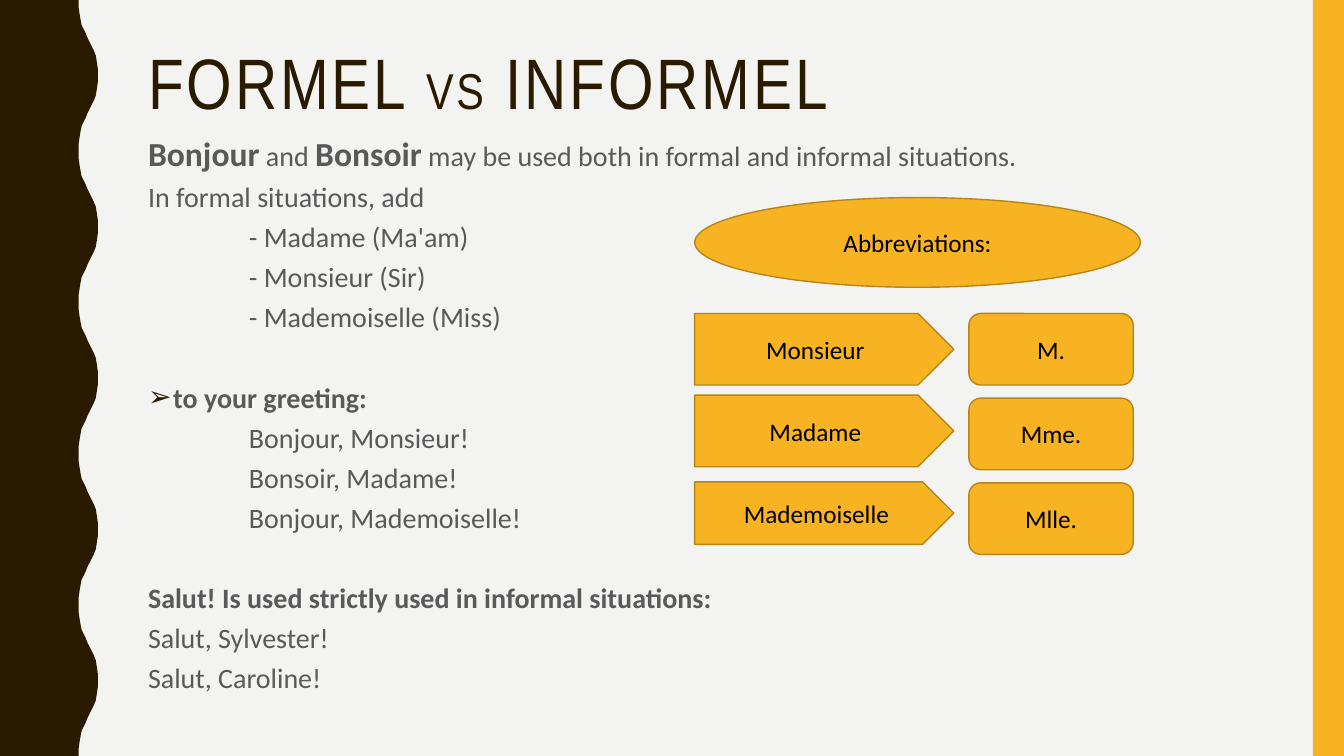
import pptx
import pptx.util
import pptx.dml.color
import pptx.enum.shapes
import pptx.enum.text
import pptx.oxml
import pptx.oxml.ns
from dataclasses import dataclass

PX = 9144
SHAPE = pptx.enum.shapes.MSO_SHAPE
ALIGN = pptx.enum.text.PP_ALIGN
ANCHOR = pptx.enum.text.MSO_ANCHOR


@dataclass(frozen=True)
class Theme:
    paper: str = "F3F3F2"
    brown: str = "2A1A00"
    gold: str = "F8B323"
    outline: str = "B7841A"
    grey: str = "595959"
    black: str = "000000"
    title_font: str = "Arial Narrow"
    body_font: str = "Calibri"
    bullet_font: str = "Arial"
    title_size: int = 51
    versus_size: int = 36
    greeting_size: int = 24
    body_size: int = 20
    label_size: int = 18
    line_gap: int = 7
    section_gap: int = 36


theme = Theme()


def paint(shape, fill, line=None):
    shape.shadow.inherit = False
    shape.fill.solid()
    shape.fill.fore_color.rgb = pptx.dml.color.RGBColor.from_string(fill)
    if line:
        shape.line.color.rgb = pptx.dml.color.RGBColor.from_string(line)
        shape.line.width = pptx.util.Pt(1)
    else:
        shape.line.fill.background()


def add_span(para, text, font, size, color, bold=False):
    span = para.add_run()
    span.text = text
    span.font.name = font
    span.font.size = pptx.util.Pt(size)
    span.font.bold = bold
    span.font.color.rgb = pptx.dml.color.RGBColor.from_string(color)
    return span


deck = pptx.Presentation()
deck.slide_width = 1333 * PX
deck.slide_height = 750 * PX
page = deck.slides.add_slide(deck.slide_layouts[5])
page.background.fill.solid()
page.background.fill.fore_color.rgb = pptx.dml.color.RGBColor.from_string(theme.paper)

half_wave = [(78, 0), (78, 7), (79, 14), (80, 20), (81, 25), (83, 29), (85, 33), (87, 38),
             (89, 42), (91, 46), (93, 50), (95, 55), (96, 61), (97, 68), (97, 75)]
full_wave = half_wave + [(x, 150 - y) for x, y in reversed(half_wave[:-1])]
wave_edge = [(x, y + 150 * turn) for turn in range(5) for x, y in full_wave]
outline = page.shapes.build_freeform(0, 0, scale=PX)
outline.add_line_segments(wave_edge + [(0, 750)], close=True)
paint(outline.convert_to_shape(), theme.brown)

right_band = page.shapes.add_shape(SHAPE.RECTANGLE, 1302 * PX, 0, 31 * PX, 750 * PX)
paint(right_band, theme.gold)

title = page.shapes.title
title.left, title.top, title.width, title.height = 137 * PX, 42 * PX, 1113 * PX, 163 * PX
title.text_frame.vertical_anchor = ANCHOR.TOP
title.text_frame.auto_size = pptx.enum.text.MSO_AUTO_SIZE.NONE
title.text_frame.word_wrap = True
para = title.text_frame.paragraphs[0]
para.alignment = ALIGN.LEFT
para.line_spacing = 0.9
for text, size in [("FORMEL ", theme.title_size), ("VS", theme.versus_size),
                   (" INFORMEL", theme.title_size)]:
    span = add_span(para, text, theme.title_font, size, theme.brown)
    span.font._element.set("spc", "200")

plain, strong = (theme.body_size, False), (theme.body_size, True)
greeting = (theme.greeting_size, True)
lines = [
    ("first", [("Bonjour", greeting), (" and ", plain), ("Bonsoir", greeting),
               (" may be used both in formal and informal situations.", plain)]),
    ("line", [("In formal situations, add", plain)]),
    ("indented", [("- Madame (Ma'am)", plain)]),
    ("indented", [("- Monsieur (Sir)", plain)]),
    ("indented", [("- Mademoiselle (Miss)", plain)]),
    ("bullet", [("to your greeting:", strong)]),
    ("indented", [("Bonjour, Monsieur!", plain)]),
    ("indented", [("Bonsoir, Madame!", plain)]),
    ("indented", [("Bonjour, Mademoiselle!", plain)]),
    ("section", [("Salut! Is used strictly used in informal situations:", strong)]),
    ("line", [("Salut, Sylvester!", plain)]),
    ("line", [("Salut, Caroline!", plain)]),
]
body = page.shapes.add_textbox(137 * PX, 131 * PX, 1113 * PX, 619 * PX)
body.text_frame.word_wrap = True
for number, (kind, spans) in enumerate(lines):
    para = body.text_frame.add_paragraph() if number else body.text_frame.paragraphs[0]
    properties = para._p.get_or_add_pPr()
    if kind == "indented":
        properties.set("marL", str(100 * PX))
    if kind == "bullet":
        properties.set("marL", str(25 * PX))
        properties.set("indent", str(-25 * PX))
        namespace = pptx.oxml.ns.nsdecls("a")
        for element in [
            f'<a:buClr {namespace}><a:srgbClr val="{theme.brown}"/></a:buClr>',
            f'<a:buFont {namespace} typeface="{theme.bullet_font}"/>',
            f'<a:buChar {namespace} char="➢"/>',
        ]:
            properties.append(pptx.oxml.parse_xml(element))
    para.line_spacing = 0.9
    if kind != "first":
        gap = theme.section_gap if kind in ("bullet", "section") else theme.line_gap
        para.space_before = pptx.util.Pt(gap)
    for text, (size, bold) in spans:
        add_span(para, text, theme.body_font, size, theme.grey, bold)

labels = [
    ("Abbreviations:", SHAPE.OVAL, 689, 196, 442, 89),
    ("Monsieur", SHAPE.PENTAGON, 689, 311, 257, 71),
    ("Madame", SHAPE.PENTAGON, 689, 392, 257, 71),
    ("Mademoiselle", SHAPE.PENTAGON, 689, 478, 257, 62),
]
for row, short_form in enumerate(["M.", "Mme.", "Mlle."]):
    labels.append((short_form, SHAPE.ROUNDED_RECTANGLE, 961, 311 + 84 * row, 163, 71))
for text, kind, left, top, width, height in labels:
    box = page.shapes.add_shape(kind, left * PX, top * PX, width * PX, height * PX)
    paint(box, theme.gold, theme.outline)
    box.text_frame.word_wrap = True
    box.text_frame.vertical_anchor = ANCHOR.MIDDLE
    para = box.text_frame.paragraphs[0]
    para.alignment = ALIGN.CENTER
    add_span(para, text, theme.body_font, theme.label_size, theme.black)

deck.save("out.pptx")
